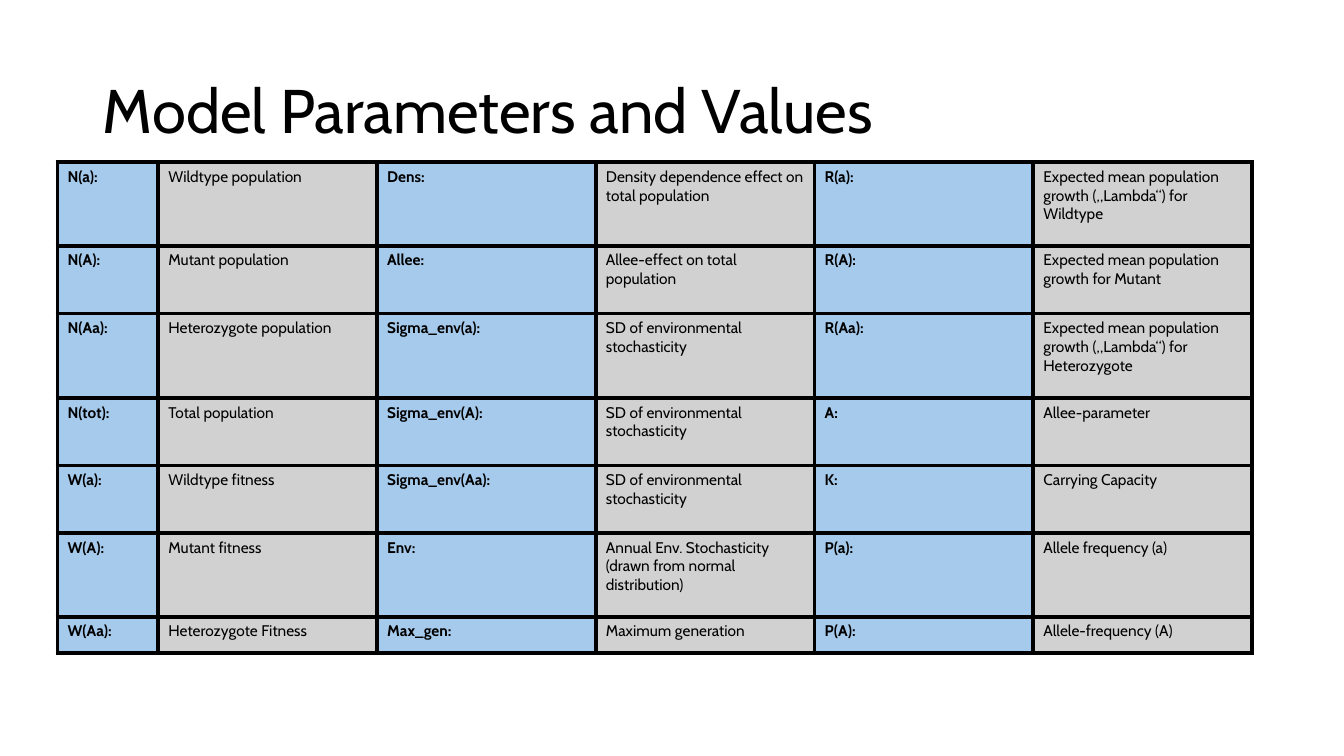
import pptx
import pptx.dml.color
import pptx.enum.text
import pptx.oxml
import pptx.oxml.ns
import pptx.util
from pptx.util import Inches

FONT = "Cabin"
BLACK, NAME_BLUE, MEANING_GRAY = "000000", "A6CAEC", "D1D1D1"

COLUMN_WIDTHS = [1] + [2.17] * 5
ROW_HEIGHTS = [0.83, 0.67, 0.84, 0.67, 0.67, 0.83, 0.36]
# Names and meanings alternate across each row
PARAMETERS = [
    ["N(a):", "Wildtype population",
     "Dens:", "Density dependence effect on total population",
     "R(a):", "Expected mean population growth („Lambda“) for Wildtype"],
    ["N(A):", "Mutant population",
     "Allee:", "Allee-effect on total population",
     "R(A):", "Expected mean population growth for Mutant"],
    ["N(Aa):", "Heterozygote population",
     "Sigma_env(a):", "SD of environmental stochasticity",
     "R(Aa):", "Expected mean population growth („Lambda“) for Heterozygote"],
    ["N(tot):", "Total population",
     "Sigma_env(A):", "SD of environmental stochasticity",
     "A:", "Allee-parameter"],
    ["W(a):", "Wildtype fitness",
     "Sigma_env(Aa):", "SD of environmental stochasticity",
     "K:", "Carrying Capacity"],
    ["W(A):", "Mutant fitness",
     "Env:", "Annual Env. Stochasticity (drawn from normal distribution)",
     "P(a):", "Allele frequency (a)"],
    ["W(Aa):", "Heterozygote Fitness",
     "Max_gen:", "Maximum generation",
     "P(A):", "Allele-frequency (A)"],
]


def color(hex_string):
    return pptx.dml.color.RGBColor.from_string(hex_string)


def write_text(text_frame, text, size, bold=False, line_spacing=None):
    paragraph = text_frame.paragraphs[0]
    paragraph.alignment = pptx.enum.text.PP_ALIGN.LEFT
    paragraph.line_spacing = line_spacing
    run = paragraph.add_run()
    run.text = text
    run.font.name = FONT
    run.font.size = pptx.util.Pt(size)
    run.font.bold = bold
    run.font.color.rgb = color(BLACK)


def set_borders(cell, hex_string, points):
    properties = cell._tc.get_or_add_tcPr()
    for position, side in enumerate(("lnL", "lnR", "lnT", "lnB")):
        border = pptx.oxml.parse_xml(
            f'<a:{side} {pptx.oxml.ns.nsdecls("a")} w="{pptx.util.Pt(points)}">'
            f'<a:solidFill><a:srgbClr val="{hex_string}"/></a:solidFill></a:{side}>')
        properties.insert(position, border)


def add_title(slide, left, top, width, height):
    title = slide.shapes.title
    title.left, title.top = Inches(left), Inches(top)
    title.width, title.height = Inches(width), Inches(height)
    title.text_frame.word_wrap = True
    title.text_frame.vertical_anchor = pptx.enum.text.MSO_ANCHOR.MIDDLE
    write_text(title.text_frame, "Model Parameters and Values", size=44, line_spacing=0.9)


def add_parameter_table(slide, left, top):
    frame = slide.shapes.add_table(
        len(ROW_HEIGHTS), len(COLUMN_WIDTHS), Inches(left), Inches(top),
        Inches(sum(COLUMN_WIDTHS)), Inches(sum(ROW_HEIGHTS)))
    table = frame.table
    table.first_row = table.horz_banding = False
    for column, width in zip(table.columns, COLUMN_WIDTHS):
        column.width = Inches(width)
    for row, height, texts in zip(table.rows, ROW_HEIGHTS, PARAMETERS):
        row.height = Inches(height)
        for index, (cell, text) in enumerate(zip(row.cells, texts)):
            is_name = index % 2 == 0
            cell.fill.solid()
            cell.fill.fore_color.rgb = color(NAME_BLUE if is_name else MEANING_GRAY)
            set_borders(cell, BLACK, points=3)
            write_text(cell.text_frame, text, size=11, bold=is_name)


def main():
    presentation = pptx.Presentation()
    presentation.slide_width = Inches(13.33)
    presentation.slide_height = Inches(7.5)
    slide = presentation.slides.add_slide(presentation.slide_layouts[5])
    # Heading
    add_title(slide, 0.92, 0.4, 11.5, 1.45)
    # Parameter names and meanings
    add_parameter_table(slide, 0.57, 1.61)
    presentation.save("out.pptx")


if __name__ == "__main__":
    main()
